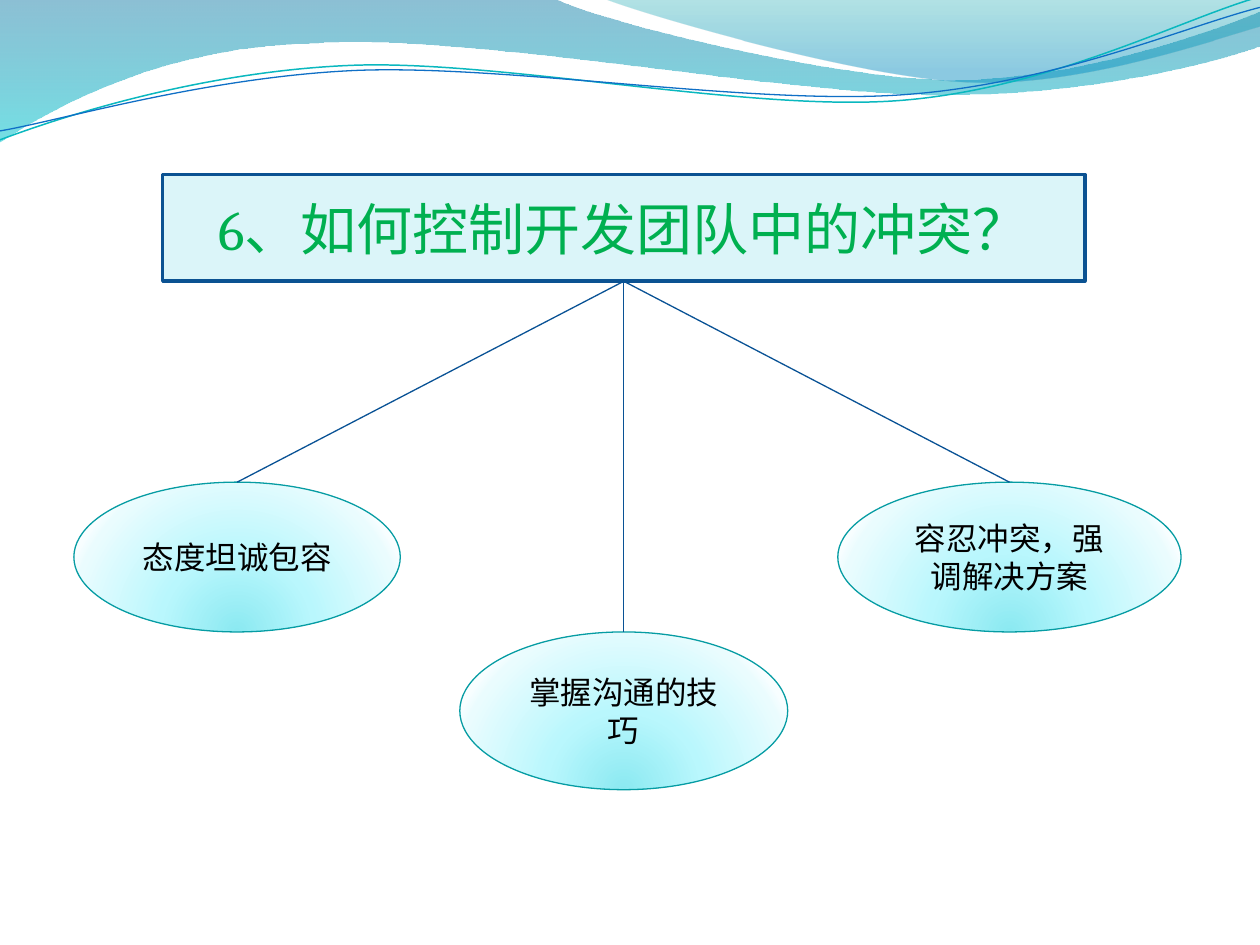
from lxml import etree
from pptx import Presentation
from pptx.dml.color import RGBColor as RGB
from pptx.enum.shapes import MSO_CONNECTOR as CONN, MSO_SHAPE as SHAPE
from pptx.enum.text import MSO_ANCHOR as ANCHOR, PP_ALIGN as ALIGN
from pptx.oxml import parse_xml
from pptx.oxml.ns import nsdecls, qn
from pptx.util import Cm, Pt

COLORS = {
    "title_fill": "DBF5F9", "title_line": "0B5292", "title_text": "00B050",
    "oval_line": "069CA3", "oval_text": "000000", "link": "095295",
    "teal_curve": "0AB8BF", "blue_curve": "0F6FC6",
}
FONT = "Cambria"
TITLE = ("6、如何控制开发团队中的冲突？", (3.28, 3.52, 18.59, 2.15))
OVALS = [
    ("容忍冲突，强调解决方案", (16.89, 9.72, 6.92, 3.02)),
    ("态度坦诚包容", (1.49, 9.72, 6.58, 3.02)),
    ("掌握沟通的技巧", (9.27, 12.74, 6.61, 3.18)),
]
OVAL_STOPS = [(0, "8BE9F1", 100), (43, "B9F7FD", 100), (93, "EAFCFE", 100), (100, "F8FEFF", 100)]
OVAL_SHADE = ('<a:path path="circle"><a:fillToRect l="50000" t="130000" '
              'r="50000" b="-30000"/></a:path>')
DOWN_SHADE = '<a:lin ang="5400000" scaled="1"/>'

WAVES = [
    ([(0, "0074A1", 45), (100, "00C6CF", 55)], (0, 0), [
        [(11.18, -0.03)],
        [(12.09, 0.43), (16.87, 1.6), (19.25, 1.6)],
        [(21.67, 1.6), (24.33, 0.66), (25.4, 0.23)],
        [(25.43, 0.91)],
        [(24.97, 1.12), (22.1, 1.93), (18.95, 1.91)],
        [(15.8, 1.91), (9.7, 0.71), (6.53, 0.86)],
        [(3.28, 0.91), (1.17, 2.11), (-0.03, 2.87)]]),
    ([(0, "00A1A9", 30), (80, "008BBF", 45)], (12.17, -0.03), [
        [(12.93, 0.28), (17.32, 1.57), (19.53, 1.65)],
        [(21.74, 1.75), (24.41, 0.81), (25.4, 0.53)],
        [(25.4, 0)]]),
]
CURVES = [
    ("teal_curve", 0.85, (0, 2.82), [
        [(1.22, 2.36), (4.01, 1.45), (7.04, 1.32)],
        [(10.03, 1.19), (15.06, 2.26), (18.11, 2.03)],
        [(21.16, 1.8), (23.83, 0.38), (25.35, -0.05)]]),
    ("blue_curve", 0.75, (0, 2.64), [
        [(1.19, 2.44), (4.17, 1.55), (7.19, 1.42)],
        [(10.24, 1.3), (15.16, 2.13), (18.21, 1.91)],
        [(21.23, 1.7), (23.9, 0.53), (25.4, 0.15)]]),
]


def add_outline(shapes, start, segments, close):
    builder = shapes.build_freeform(Cm(start[0]), Cm(start[1]))
    builder.add_line_segments([(Cm(x), Cm(y)) for seg in segments for x, y in seg], close=close)
    sp = builder.convert_to_shape()
    sp.shadow.inherit = False
    lines = iter(list(sp.element.iter(qn("a:lnTo"))))
    for seg in segments:
        group = [next(lines) for _ in seg]
        if len(group) == 3:
            group[0].tag = qn("a:cubicBezTo")
            for line in group[1:]:
                group[0].append(line[0])
                line.getparent().remove(line)
    return sp


def set_gradient(sp, stops, shade):
    gs = ""
    for pos, color, opacity in stops:
        alpha = f'<a:alpha val="{opacity * 1000}"/>' if opacity < 100 else ""
        gs += f'<a:gs pos="{pos * 1000}"><a:srgbClr val="{color}">{alpha}</a:srgbClr></a:gs>'
    sp.fill.background()
    old = sp.element.spPr.find(qn("a:noFill"))
    old.getparent().replace(old, parse_xml(
        f'<a:gradFill {nsdecls("a")} rotWithShape="1"><a:gsLst>{gs}</a:gsLst>{shade}</a:gradFill>'))


def set_line(sp, color, width):
    sp.line.color.rgb = RGB.from_string(COLORS[color])
    sp.line.width = Pt(width)


def add_box(shapes, kind, text, box, size, color):
    sp = shapes.add_shape(kind, *map(Cm, box))
    sp.shadow.inherit = False
    tf = sp.text_frame
    tf.word_wrap, tf.vertical_anchor = True, ANCHOR.MIDDLE
    p = tf.paragraphs[0]
    p.alignment = ALIGN.CENTER
    r = p.add_run()
    r.text = text
    for name, value in {"size": Pt(size), "name": FONT}.items():
        setattr(r.font, name, value)
    r.font.color.rgb = RGB.from_string(COLORS[color])
    return sp


def main():
    prs = Presentation()
    prs.slide_width, prs.slide_height = Cm(25.4), Cm(19.05)
    shapes = prs.slides.add_slide(prs.slide_layouts[6]).shapes

    for stops, start, segments in WAVES:
        wave = add_outline(shapes, start, segments, True)
        set_gradient(wave, stops, DOWN_SHADE)
        wave.line.fill.background()
    for color, width, start, segments in CURVES:
        curve = add_outline(shapes, start, segments, False)
        curve.fill.background()
        set_line(curve, color, width)

    ovals = []
    for text, box in OVALS:
        oval = add_box(shapes, SHAPE.OVAL, text, box, 18, "oval_text")
        set_gradient(oval, OVAL_STOPS, OVAL_SHADE)
        set_line(oval, "oval_line", 0.75)
        ovals.append(oval)

    title = add_box(shapes, SHAPE.RECTANGLE, *TITLE, 32, "title_text")
    title.fill.solid()
    title.fill.fore_color.rgb = RGB.from_string(COLORS["title_fill"])
    set_line(title, "title_line", 2)

    for oval in ovals:
        link = shapes.add_connector(CONN.STRAIGHT, 0, 0, 0, 0)
        link.begin_connect(title, 2)
        link.end_connect(oval, 0)
        set_line(link, "link", 0.75)
        etree.SubElement(link.element.spPr, qn("a:effectLst"))

    prs.save("out.pptx")


if __name__ == "__main__":
    main()
